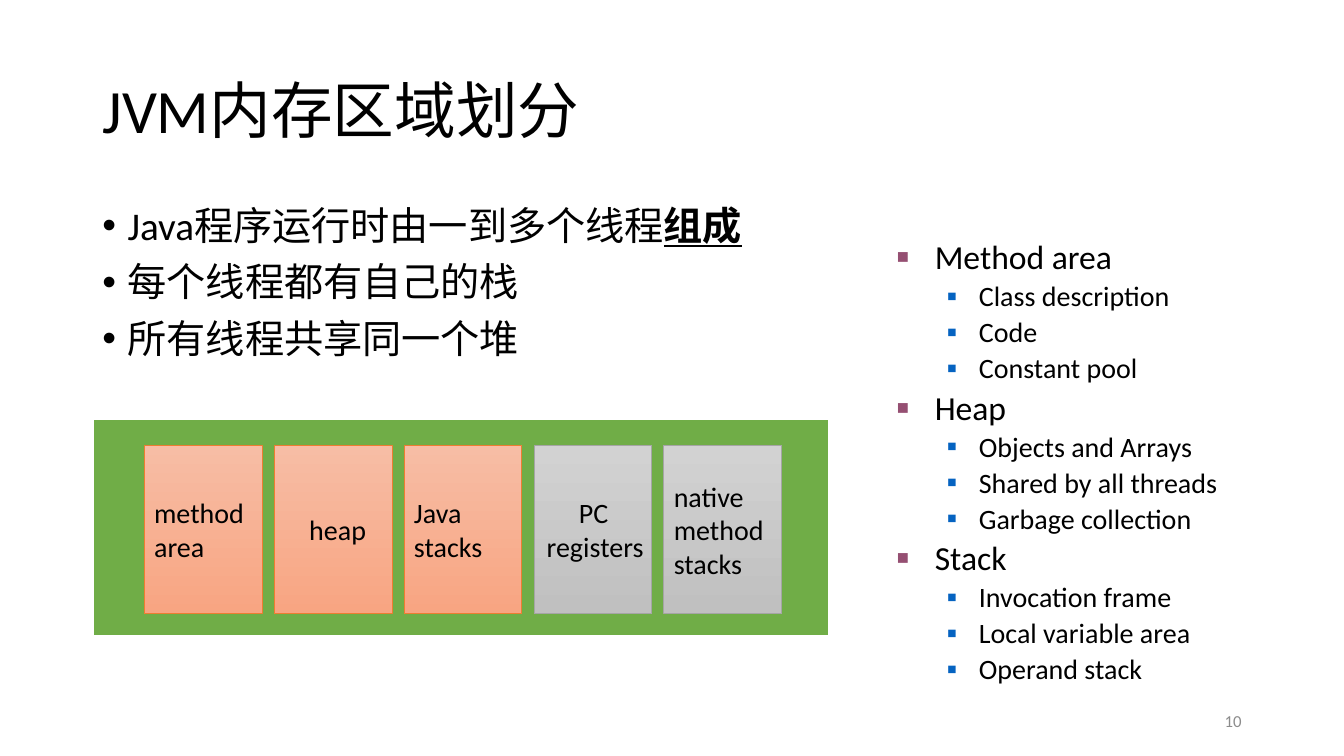
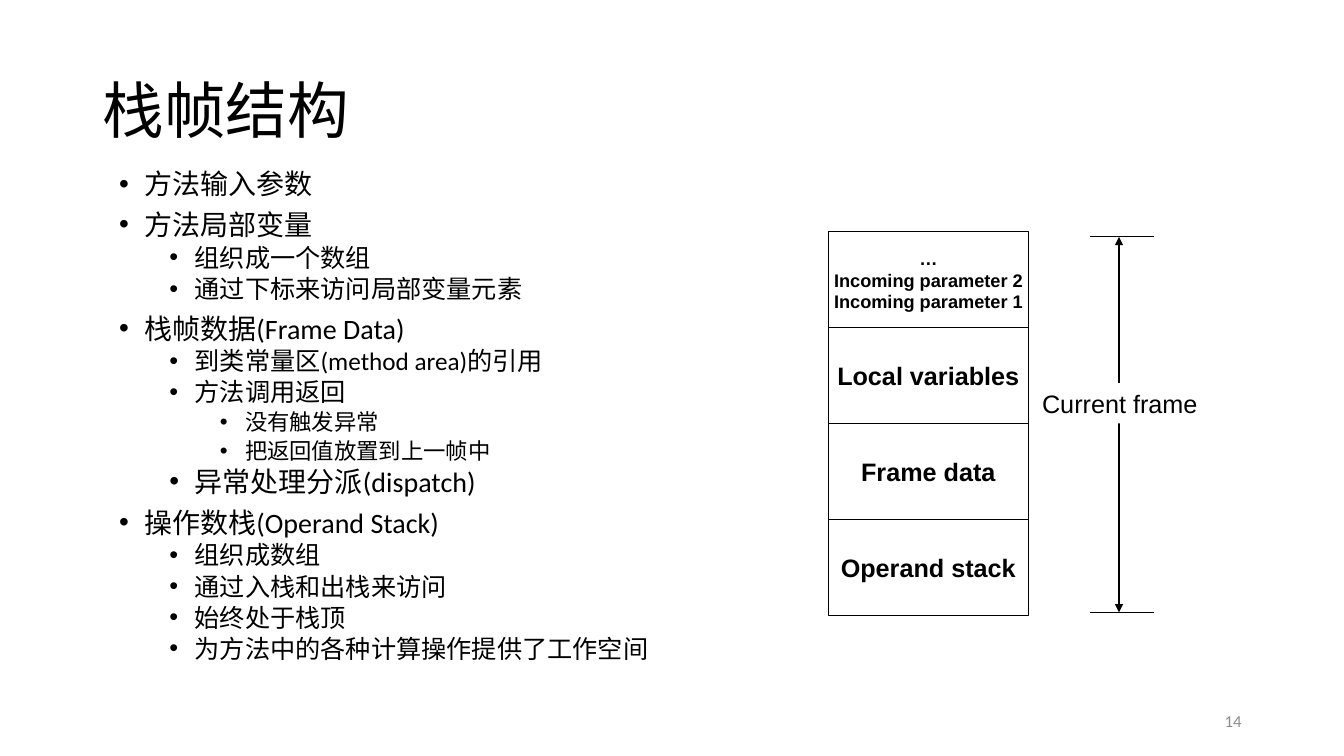
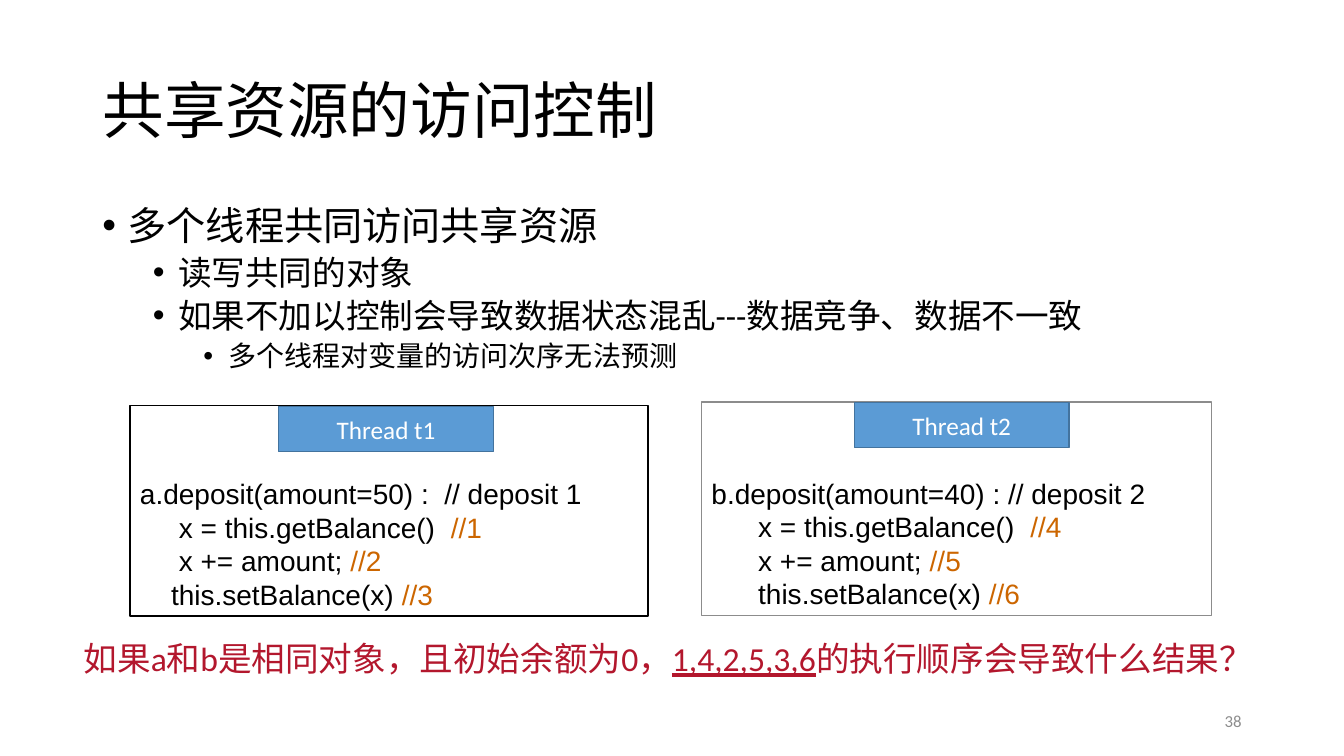
from dataclasses import dataclass

from lxml import etree
from pptx import Presentation
from pptx.dml.color import RGBColor
from pptx.enum.shapes import MSO_CONNECTOR, MSO_SHAPE
from pptx.enum.text import MSO_ANCHOR, MSO_AUTO_SIZE, PP_ALIGN
from pptx.oxml.ns import qn
from pptx.util import Pt

LEFT, CENTER, RIGHT = PP_ALIGN.LEFT, PP_ALIGN.CENTER, PP_ALIGN.RIGHT
TOP, MIDDLE, BOTTOM = MSO_ANCHOR.TOP, MSO_ANCHOR.MIDDLE, MSO_ANCHOR.BOTTOM
RECTANGLE, STRAIGHT = MSO_SHAPE.RECTANGLE, MSO_CONNECTOR.STRAIGHT
NO_AUTOFIT = MSO_AUTO_SIZE.NONE


@dataclass(frozen=True)
class Theme:
    font: str = "Calibri"
    code_font: str = "Arial"
    ink: str = "000000"
    paper: str = "FFFFFF"
    muted: str = "8C8C8C"
    memory: str = "70AD47"
    orange: tuple = ("F7BDA5", "F8A582", "ED7D31")
    grey: tuple = ("D2D2D2", "C0C0C0", "A5A5A5")
    tab: str = "5B9BD5"
    tab_edge: str = "43739E"
    comment: str = "CC6600"
    question: str = "B3172D"
    plum: str = "954F72"
    blue: str = "0563C1"
    title_size: float = 44
    lead_size: float = 28
    large_size: float = 24
    text_size: float = 20
    small_size: float = 18
    detail_size: float = 16
    parameter_size: float = 13
    number_size: float = 12


THEME = Theme()


@dataclass(frozen=True)
class Box:
    left: float
    top: float
    width: float
    height: float

    def emu(self):
        return [Pt(v) for v in (self.left, self.top, self.width, self.height)]

    def region(self, dx, dy, width, height):
        return Box(self.left + dx, self.top + dy, width, height)


@dataclass(frozen=True)
class Run:
    text: str
    color: str = ""
    bold: bool = False
    underline: bool = False


@dataclass(frozen=True)
class Bullet:
    char: str = "•"
    color: str = THEME.ink
    percent: int = 100


@dataclass(frozen=True)
class Line:
    runs: tuple
    size: float = THEME.text_size
    font: str = THEME.font
    color: str = THEME.ink
    align: PP_ALIGN = LEFT
    level: int = 0
    indent: float = 0
    hanging: float = 0
    spacing: float = 1.0
    before: float = 0
    bullet: Bullet = None


TITLE_BOX = Box(66, 28.8, 828, 104.4)
NUMBER_BOX = Box(678, 500.5, 216, 28.8)


def rgb(value):
    return RGBColor.from_string(value)


def add_bullet(properties, bullet):
    color = etree.SubElement(properties, qn("a:buClr"))
    etree.SubElement(color, qn("a:srgbClr"), val=bullet.color)
    etree.SubElement(properties, qn("a:buSzPct"), val=str(bullet.percent * 1000))
    etree.SubElement(properties, qn("a:buFont"), typeface=THEME.code_font)
    etree.SubElement(properties, qn("a:buChar"), char=bullet.char)


def write(frame, lines, anchor=TOP, margins=(7.2, 3.6, 7.2, 3.6)):
    frame.auto_size = NO_AUTOFIT
    frame.word_wrap = True
    frame.vertical_anchor = anchor
    (frame.margin_left, frame.margin_top,
     frame.margin_right, frame.margin_bottom) = [Pt(m) for m in margins]
    for index, line in enumerate(lines):
        paragraph = frame.add_paragraph() if index else frame.paragraphs[0]
        paragraph.level = line.level
        paragraph.alignment = line.align
        paragraph.line_spacing = line.spacing
        paragraph.space_before = Pt(line.before)
        properties = paragraph._p.get_or_add_pPr()
        properties.set("marL", str(Pt(line.indent)))
        properties.set("indent", str(Pt(-line.hanging)))
        if line.bullet:
            add_bullet(properties, line.bullet)
        for wording in line.runs:
            run = paragraph.add_run()
            run.text = wording.text
            run.font.name = line.font
            run.font.size = Pt(line.size)
            run.font.bold = wording.bold
            run.font.underline = wording.underline
            run.font.color.rgb = rgb(wording.color or line.color)


def add_text(slide, box, lines, anchor=TOP):
    write(slide.shapes.add_textbox(*box.emu()).text_frame, lines, anchor)


def add_rectangle(slide, box, fill=None, edge=None, weight=1.0):
    rectangle = slide.shapes.add_shape(RECTANGLE, *box.emu())
    rectangle.shadow.inherit = False
    if fill is None:
        rectangle.fill.background()
    elif isinstance(fill, tuple):
        rectangle.fill.gradient()
        rectangle.fill.gradient_angle = 270
        for stop, color in zip(rectangle.fill.gradient_stops, fill):
            stop.color.rgb = rgb(color)
    else:
        rectangle.fill.solid()
        rectangle.fill.fore_color.rgb = rgb(fill)
    if edge:
        rectangle.line.color.rgb = rgb(edge)
        rectangle.line.width = Pt(weight)
    else:
        rectangle.line.fill.background()
    return rectangle


def add_line(slide, x1, y1, x2, y2, arrows=False):
    connector = slide.shapes.add_connector(STRAIGHT, Pt(x1), Pt(y1), Pt(x2), Pt(y2))
    connector.line.color.rgb = rgb(THEME.ink)
    connector.line.width = Pt(0.75)
    properties = connector._element.spPr
    etree.SubElement(properties, qn("a:effectLst"))
    if arrows:
        for end in ("a:headEnd", "a:tailEnd"):
            etree.SubElement(properties.find(qn("a:ln")), qn(end), type="triangle")


def outline(items, sizes, spacing=0.9):
    lines = []
    for level, text, *size in items:
        runs = (Run(text),) if isinstance(text, str) else text
        lines.append(Line(runs, size[0] if size else sizes[level], level=level,
                          indent=18 + 36 * level, hanging=18, spacing=spacing,
                          before=5 if level else 10, bullet=Bullet()))
    return lines


def add_slide(deck, title, number, body_box, body_lines):
    slide = deck.slides.add_slide(deck.slide_layouts[1])
    heading, body = slide.shapes.title, slide.placeholders[1]
    for holder, box in ((heading, TITLE_BOX), (body, body_box)):
        holder.left, holder.top, holder.width, holder.height = box.emu()
    write(heading.text_frame, [Line((Run(title),), THEME.title_size, spacing=0.9)], MIDDLE)
    write(body.text_frame, body_lines)
    add_text(slide, NUMBER_BOX,
             [Line((Run(number),), THEME.number_size, color=THEME.muted, align=RIGHT)], MIDDLE)
    return slide


def add_memory_areas(slide, box):
    add_rectangle(slide, box, THEME.memory, THEME.paper, 1.5)
    areas = [
        (THEME.orange, [("method area", 0)]),
        (THEME.orange, [("heap", 18)]),
        (THEME.orange, [("Java stacks", 0)]),
        (THEME.grey, [("PC", 25), ("registers", 2)]),
        (THEME.grey, [("native method stacks", 0)]),
    ]
    for index, ((light, dark, edge), labels) in enumerate(areas):
        area = add_rectangle(slide, box.region(36.8 + 92.8 * index, 18.7, 84.2, 120.2),
                             (light, dark), edge, 0.5)
        write(area.text_frame, [Line((Run(text),), indent=indent) for text, indent in labels],
              MIDDLE, (7.2, 3.6, 0, 3.6))


def add_area_contents(slide, box):
    contents = {
        "Method area": ("Class description", "Code", "Constant pool"),
        "Heap": ("Objects and Arrays", "Shared by all threads", "Garbage collection"),
        "Stack": ("Invocation frame", "Local variable area", "Operand stack"),
    }
    lines = []
    for area, details in contents.items():
        lines.append(Line((Run(area),), THEME.large_size, indent=27, hanging=27, spacing=0.9,
                          before=4.8, bullet=Bullet("■", THEME.plum, 60)))
        lines += [Line((Run(detail),), level=1, indent=58.5, hanging=22.5, spacing=0.9,
                       before=4, bullet=Bullet("■", THEME.blue, 55)) for detail in details]
    add_text(slide, box, lines)


def add_frame_stack(slide, box):
    cells = [
        (THEME.parameter_size, ("…", "Incoming parameter 2", "Incoming parameter 1")),
        (THEME.small_size, ("Local variables",)),
        (THEME.small_size, ("Frame data",)),
        (THEME.small_size, ("Operand stack",)),
    ]
    height = box.height / len(cells)
    for index, (size, labels) in enumerate(cells):
        cell = add_rectangle(slide, box.region(0, index * height, box.width, height),
                             THEME.paper, THEME.ink, 0.75)
        write(cell.text_frame,
              [Line((Run(label, bold=True),), size, THEME.code_font, align=CENTER)
               for label in labels], MIDDLE, (0, 0, 0, 0))


def add_frame_extent(slide, box):
    middle, bottom = box.left + 62, box.top + box.height
    add_line(slide, middle, box.top, middle, bottom, arrows=True)
    for y in (box.top, bottom):
        add_line(slide, middle - 21, y, middle + 25, y)
    label = add_rectangle(slide, box.region(0, 104.4, box.width, 28.8), THEME.paper)
    write(label.text_frame, [Line((Run("Current frame"),), THEME.small_size, THEME.code_font)])


def add_thread(slide, box, name, edge, tab_left, code):
    listing = add_rectangle(slide, box, edge=edge)
    lines = [Line((Run(statement), *(Run(mark, THEME.comment) for mark in marks)),
                  font=THEME.code_font, indent=indent) for indent, statement, *marks in code]
    write(listing.text_frame, lines, BOTTOM)
    tab = add_rectangle(slide, box.region(tab_left, 0.4, 153.4, 32.4),
                        THEME.tab, THEME.tab_edge)
    write(tab.text_frame,
          [Line((Run(name),), THEME.small_size, color=THEME.paper, align=CENTER)], MIDDLE)


def add_question(slide, box):
    add_text(slide, box, [Line((
        Run("如果a和b是相同对象，且初始余额为0，"),
        Run("1,4,2,5,3,6", underline=True),
        Run("的执行顺序会导致什么结果？"),
    ), THEME.large_size, color=THEME.question)])


def build_memory_slide(deck):
    body = outline([
        (0, (Run("Java程序运行时由一到多个线程"), Run("组成", bold=True, underline=True))),
        (0, "每个线程都有自己的栈"),
        (0, "所有线程共享同一个堆"),
    ], (THEME.lead_size,))
    slide = add_slide(deck, "JVM内存区域划分", "10", Box(66, 144, 828, 342.7), body)
    add_memory_areas(slide, Box(66.2, 299.5, 526.3, 154.8))
    add_area_contents(slide, Box(633.6, 168.5, 272.9, 336.2))


def build_frame_slide(deck):
    body = outline([
        (0, "方法输入参数"),
        (0, "方法局部变量"),
        (1, "组织成一个数组"),
        (1, "通过下标来访问局部变量元素"),
        (0, "栈帧数据(Frame Data)"),
        (1, "到类常量区(method area)的引用"),
        (1, "方法调用返回"),
        (2, "没有触发异常"),
        (2, "把返回值放置到上一帧中"),
        (1, "异常处理分派(dispatch)", THEME.text_size),
        (0, "操作数栈(Operand Stack)"),
        (1, "组织成数组"),
        (1, "通过入栈和出栈来访问"),
        (1, "始终处于栈顶"),
        (1, "为方法中的各种计算操作提供了工作空间"),
    ], (THEME.text_size, THEME.small_size, THEME.detail_size), 0.8)
    slide = add_slide(deck, "栈帧结构", "14", Box(77.8, 120.2, 429.8, 395.3), body)
    add_frame_stack(slide, Box(591.8, 165.6, 142.6, 273.8))
    add_frame_extent(slide, Box(737.3, 169.2, 125.3, 268.2))


def build_sharing_slide(deck):
    body = outline([
        (0, "多个线程共同访问共享资源"),
        (1, "读写共同的对象"),
        (1, "如果不加以控制会导致数据状态混乱---数据竞争、数据不一致"),
        (2, "多个线程对变量的访问次序无法预测"),
    ], (THEME.lead_size, THEME.large_size, THEME.text_size))
    slide = add_slide(deck, "共享资源的访问控制", "38", Box(66, 144, 828, 133.9), body)
    add_thread(slide, Box(92.9, 289.8, 370.1, 150.1), "Thread t1", THEME.ink, 106.2, [
        (0, "a.deposit(amount=50) :  // deposit 1"),
        (27.8, "x = this.getBalance()  ", "//1"),
        (27.8, "x += amount; ", "//2"),
        (22.2, "this.setBalance(x) ", "//3"),
    ])
    add_thread(slide, Box(501.1, 287, 364.3, 152.6), "Thread t2", THEME.muted, 109.2, [
        (0, "b.deposit(amount=40) : // deposit 2"),
        (33.4, "x = this.getBalance()  ", "//4"),
        (33.4, "x += amount; ", "//5"),
        (33.4, "this.setBalance(x) ", "//6"),
    ])
    add_question(slide, Box(52.6, 452.2, 857.5, 64))


def main():
    deck = Presentation()
    deck.slide_width, deck.slide_height = Pt(960), Pt(540)
    build_memory_slide(deck)
    build_frame_slide(deck)
    build_sharing_slide(deck)
    deck.save("out.pptx")


if __name__ == "__main__":
    main()
